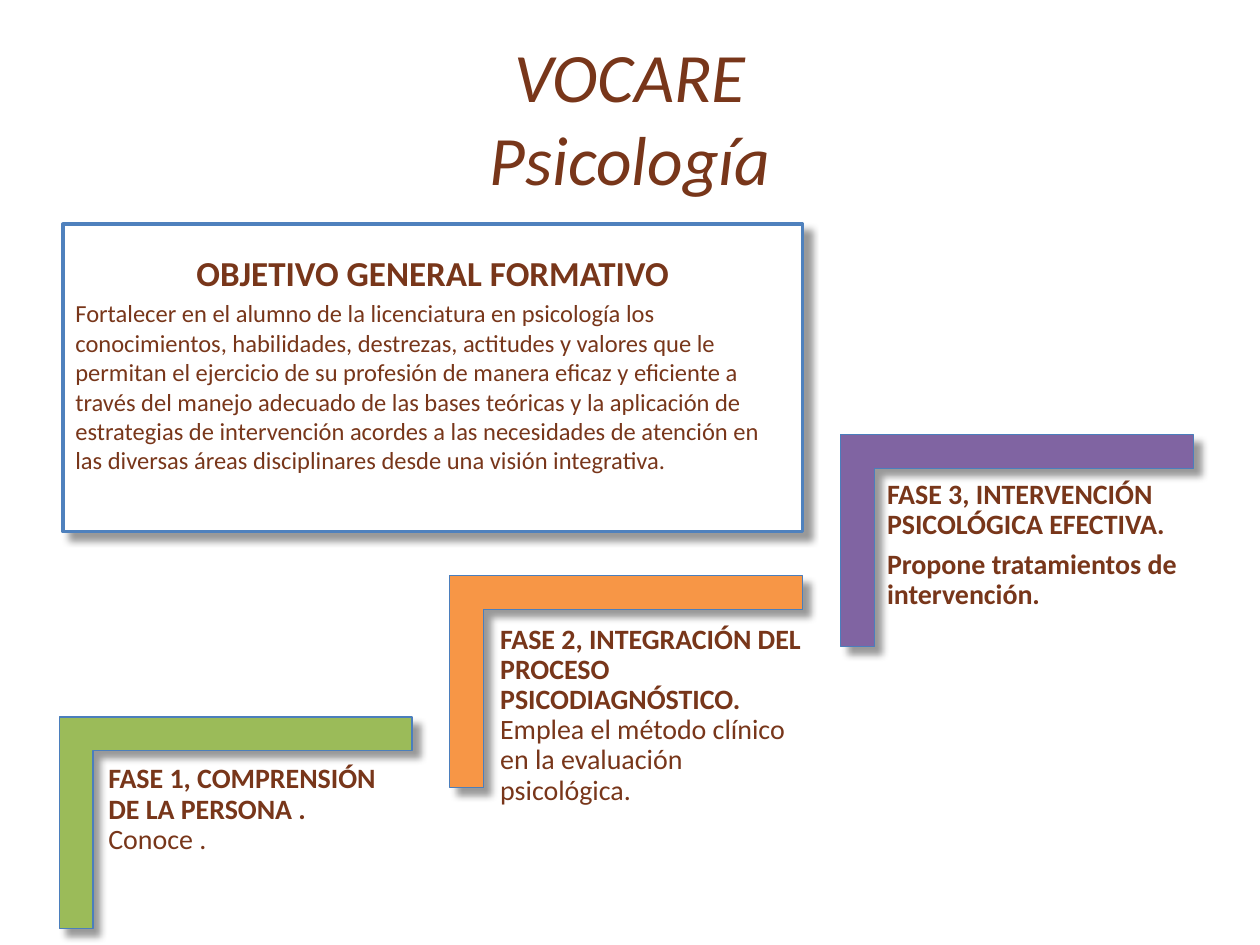
from lxml import etree
from pptx import Presentation
from pptx import util as u
from pptx.dml.color import RGBColor
from pptx.enum import shapes, text
from pptx.oxml import ns

WIDTH, HEIGHT = 10, 7.5
BROWN = "78361A"
STEP_X, STEP_Y = 3.1, -1.12
ARM_WIDTH, ARM_HEIGHT = 2.8, 1.68
INSET = 0.07

PHASES = [
    ("9BBB59", (0.32, 0.31, 2.45, 1.45), [
        [("FASE 1, COMPRENSIÓN DE LA PERSONA .", True), ("Conoce .", False)]]),
    ("F79646", (0.33, 0.32, 2.53, 1.56), [
        [("FASE 2, INTEGRACIÓN DEL PROCESO PSICODIAGNÓSTICO.", True),
         ("Emplea el método clínico en la evaluación psicológica.", False)]]),
    ("8064A2", (0.3, 0.29, 2.53, 1.4), [
        [("FASE 3, INTERVENCIÓN PSICOLÓGICA EFECTIVA.", True)],
        [("Propone tratamientos de intervención.", True)]]),
]
OBJECTIVE = (
    "Fortalecer en el alumno de la licenciatura en psicología los conocimientos, "
    "habilidades, destrezas, actitudes y valores que le permitan el ejercicio de su "
    "profesión de manera eficaz y eficiente a través del manejo adecuado de las bases "
    "teóricas y la aplicación de estrategias de intervención acordes a las necesidades "
    "de atención en las diversas áreas disciplinares desde una visión integrativa.")


def color(value):
    return RGBColor.from_string(value)


def apply(target, values):
    for name, value in values.items():
        setattr(target, name, value)


def inches(box):
    return [u.Inches(length) for length in box]


def add_shadow(shape):
    effects = etree.SubElement(shape._element.spPr, ns.qn("a:effectLst"))
    shadow = etree.SubElement(effects, ns.qn("a:outerShdw"), blurRad=str(u.Pt(4)),
                              dist=str(u.Pt(6)), dir="2700000", algn="tl", rotWithShape="0")
    tint = etree.SubElement(shadow, ns.qn("a:srgbClr"), val="000000")
    etree.SubElement(tint, ns.qn("a:alpha"), val="40000")


def add_panel(page, kind, box, fill, line, weight):
    panel = page.shapes.add_shape(kind, *inches(box))
    panel.fill.solid()
    panel.fill.fore_color.rgb = color(fill)
    panel.line.color.rgb = color(line)
    panel.line.width = u.Pt(weight)
    add_shadow(panel)
    return panel


def write_para(para, lines, size, italic=False, **layout):
    apply(para, layout)
    for number, (words, bold) in enumerate(lines):
        if number:
            para.add_line_break()
        span = para.add_run()
        span.text = words
        apply(span.font, {"name": "Calibri", "size": u.Pt(size), "bold": bold, "italic": italic})
        span.font.color.rgb = color(BROWN)


def add_title(page, box):
    frame = page.shapes.add_textbox(*inches(box)).text_frame
    apply(frame, {"word_wrap": True, "vertical_anchor": text.MSO_ANCHOR.MIDDLE})
    write_para(frame.paragraphs[0], [("VOCARE", False), ("Psicología", False)], 39.6,
               italic=True, alignment=text.PP_ALIGN.CENTER)


def add_objective(page, box):
    panel = add_panel(page, shapes.MSO_SHAPE.RECTANGLE, box, "FFFFFF", "4F81BD", 2)
    frame = panel.text_frame
    apply(frame, {"word_wrap": True, "vertical_anchor": text.MSO_ANCHOR.TOP})
    write_para(frame.paragraphs[0], [("OBJETIVO GENERAL FORMATIVO", True)], 20,
               alignment=text.PP_ALIGN.CENTER, line_spacing=1.5)
    write_para(frame.add_paragraph(), [(OBJECTIVE, False)], 14,
               alignment=text.PP_ALIGN.LEFT, space_before=u.Pt(2.8))


def add_phase(page, box, fill, text_box, paragraphs):
    left, top, width, height = box
    turned = (left + (width - height) / 2, top + (height - width) / 2, height, width)
    corner = add_panel(page, shapes.MSO_SHAPE.CORNER, turned, fill, "4B7EBC", 0.75)
    corner.rotation = 90
    for index in range(2):
        corner.adjustments[index] = 0.16

    shift_x, shift_y, text_width, text_height = text_box
    caption = (left + shift_x, top + shift_y, text_width, text_height)
    frame = page.shapes.add_textbox(*inches(caption)).text_frame
    frame.word_wrap = True
    apply(frame, {f"margin_{side}": u.Inches(INSET)
                  for side in ("left", "top", "right", "bottom")})
    for number, lines in enumerate(paragraphs):
        para = frame.add_paragraph() if number else frame.paragraphs[0]
        write_para(para, lines, 16, line_spacing=0.9, space_after=u.Pt(5.6))


def main():
    deck = Presentation()
    apply(deck, {"slide_width": u.Inches(WIDTH), "slide_height": u.Inches(HEIGHT)})
    page = deck.slides.add_slide(deck.slide_layouts[6])
    margin = WIDTH * 0.05
    add_objective(page, (margin, 1.78, 5.87, 2.44))
    add_title(page, (margin, HEIGHT * 0.04, WIDTH - 2 * margin, HEIGHT / 6))
    for step, phase in enumerate(PHASES):
        box = (0.47 + step * STEP_X, 5.69 + step * STEP_Y, ARM_WIDTH, ARM_HEIGHT)
        add_phase(page, box, *phase)
    deck.save("out.pptx")


if __name__ == "__main__":
    main()
